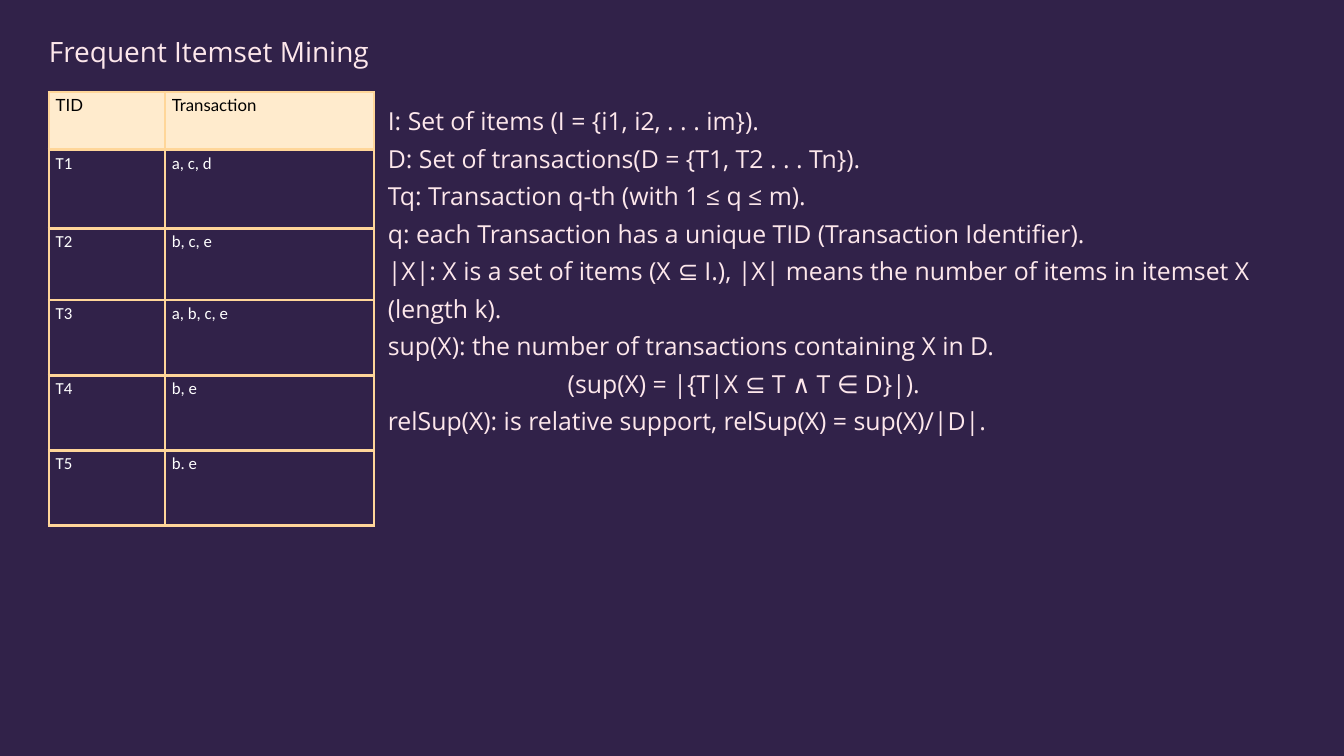
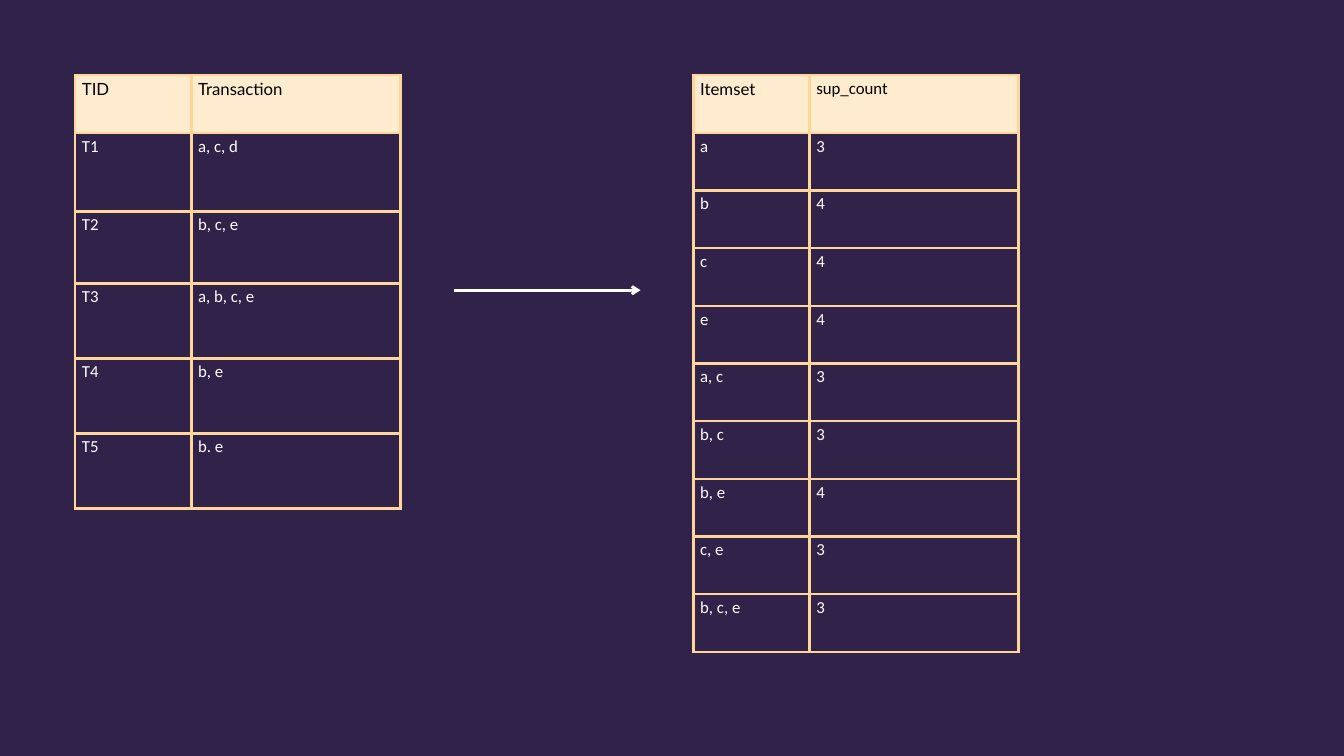
import pptx
import pptx.dml.color
import pptx.enum.shapes
import pptx.enum.text
import pptx.oxml
import pptx.oxml.ns
import pptx.util
from pptx.util import Cm

hex_color = pptx.dml.color.RGBColor.from_string

BACKGROUND = "312249"
PINK = "FDE7EB"
BORDER = "FFD699"
HEADER_FILL = "FFEBCD"
BLACK = "000000"
WHITE = "FFFFFF"

COLUMN_WIDTHS = [4.39, 7.9]
TRANSACTION_HEIGHTS = [2.18, 2.97, 2.72, 2.84, 2.84, 2.84]
TRANSACTIONS = [
    ("TID", "Transaction"),
    ("T1", "a, c, d"),
    ("T2", "b, c, e"),
    ("T3", "a, b, c, e"),
    ("T4", "b, e"),
    ("T5", "b. e"),
]
SUPPORT_COUNTS = [
    ("Itemset", "sup_count"),
    ("a", "3"),
    ("b", "4"),
    ("c", "4"),
    ("e", "4"),
    ("a, c", "3"),
    ("b, c", "3"),
    ("b, e", "4"),
    ("c, e", "3"),
    ("b, c, e", "3"),
]
DEFINITIONS = [
    "I: Set of items (I = {i1, i2, . . . im}).",
    "D: Set of transactions(D = {T1, T2 . . . Tn}).",
    "Tq: Transaction q-th (with 1 ≤ q ≤ m).",
    "q: each Transaction has a unique TID (Transaction Identifier).",
    "|X|: X is a set of items (X ⊆ I.), |X| means the number of items in itemset X (length k).",
    "sup(X): the number of transactions containing X in D.",
    "(sup(X) = |{T|X ⊆ T ∧ T ∈ D}|).",
    "relSup(X): is relative support, relSup(X) = sup(X)/|D|.",
]


def write(frame, lines, font="Open Sans", size=18, color=PINK, leading=None, inset=True):
    """Fill a text frame with one paragraph per line, left-aligned from the top."""
    frame.word_wrap = True
    frame.vertical_anchor = pptx.enum.text.MSO_ANCHOR.TOP
    if not inset:
        frame.margin_left = frame.margin_top = frame.margin_right = frame.margin_bottom = 0
    for index, line in enumerate(lines):
        para = frame.paragraphs[0] if index == 0 else frame.add_paragraph()
        para.alignment = pptx.enum.text.PP_ALIGN.LEFT
        if leading:
            para.line_spacing = pptx.util.Pt(leading)
        span = para.add_run()
        span.text = line
        span.font.name = font
        span.font.size = pptx.util.Pt(size)
        span.font.color.rgb = hex_color(color)


def add_bordered_table(page, left, top, rows, heights, header_fonts):
    table = page.shapes.add_table(
        len(rows), len(COLUMN_WIDTHS), Cm(left), Cm(top), Cm(sum(COLUMN_WIDTHS)), Cm(sum(heights))
    ).table
    table.first_row = table.horz_banding = False
    for column, width in zip(table.columns, COLUMN_WIDTHS):
        column.width = Cm(width)
    for row_index, (values, height) in enumerate(zip(rows, heights)):
        table.rows[row_index].height = Cm(height)
        for column_index, value in enumerate(values):
            cell = table.cell(row_index, column_index)
            properties = cell._tc.get_or_add_tcPr()
            for side in ("lnL", "lnR", "lnT", "lnB"):
                properties.append(pptx.oxml.parse_xml(
                    f'<a:{side} {pptx.oxml.ns.nsdecls("a")} w="{pptx.util.Pt(3)}"><a:solidFill>'
                    f'<a:srgbClr val="{BORDER}"/></a:solidFill></a:{side}>'
                ))
            if row_index == 0:
                cell.fill.solid()
                cell.fill.fore_color.rgb = hex_color(HEADER_FILL)
                write(cell.text_frame, [value], font=header_fonts[column_index], color=BLACK)
            else:
                cell.fill.background()
                write(cell.text_frame, [value], font="Calibri", color=WHITE)


deck = pptx.Presentation()
deck.slide_width = Cm(50.8)
deck.slide_height = Cm(28.58)
master_fill = deck.slide_master.background.fill
master_fill.solid()
master_fill.fore_color.rgb = hex_color(BACKGROUND)
title_only, blank = deck.slide_layouts[5], deck.slide_layouts[6]

# Slide 1: definitions
page = deck.slides.add_slide(title_only)
add_bordered_table(page, 1.85, 3.48, TRANSACTIONS, TRANSACTION_HEIGHTS, ["Lato", "Lato"])

title = page.shapes.title
title.left, title.top, title.width, title.height = Cm(1.85), Cm(1.3), Cm(13.44), Cm(1.27)
write(title.text_frame, ["Frequent Itemset Mining"], size=30, leading=36, inset=False)
title.text_frame.auto_size = pptx.enum.text.MSO_AUTO_SIZE.NONE

box = page.shapes.add_textbox(Cm(14.66), Cm(3.71), Cm(34.57), Cm(15.37))
write(box.text_frame, DEFINITIONS, size=26.6, leading=40.2, inset=False)
formula = box.text_frame.paragraphs[6]
formula._p.get_or_add_pPr().set("marL", str(Cm(6.8)))

# Slide 2: transactions to support counts
page = deck.slides.add_slide(blank)
add_bordered_table(
    page, 26.21, 2.84, SUPPORT_COUNTS, [2.18] * len(SUPPORT_COUNTS), ["Lato", "Calibri"]
)
add_bordered_table(page, 2.84, 2.84, TRANSACTIONS, TRANSACTION_HEIGHTS, ["Lato", "Lato"])

arrow = page.shapes.add_connector(
    pptx.enum.shapes.MSO_CONNECTOR.STRAIGHT, Cm(17.15), Cm(10.97), Cm(24.21), Cm(10.97)
)
arrow.line.color.rgb = hex_color(WHITE)
arrow.line.width = pptx.util.Pt(3)
arrow.line._get_or_add_ln().append(
    pptx.oxml.parse_xml(f'<a:tailEnd {pptx.oxml.ns.nsdecls("a")} type="arrow"/>')
)
arrow._element.spPr.append(pptx.oxml.parse_xml(f'<a:effectLst {pptx.oxml.ns.nsdecls("a")}/>'))

deck.save("out.pptx")
